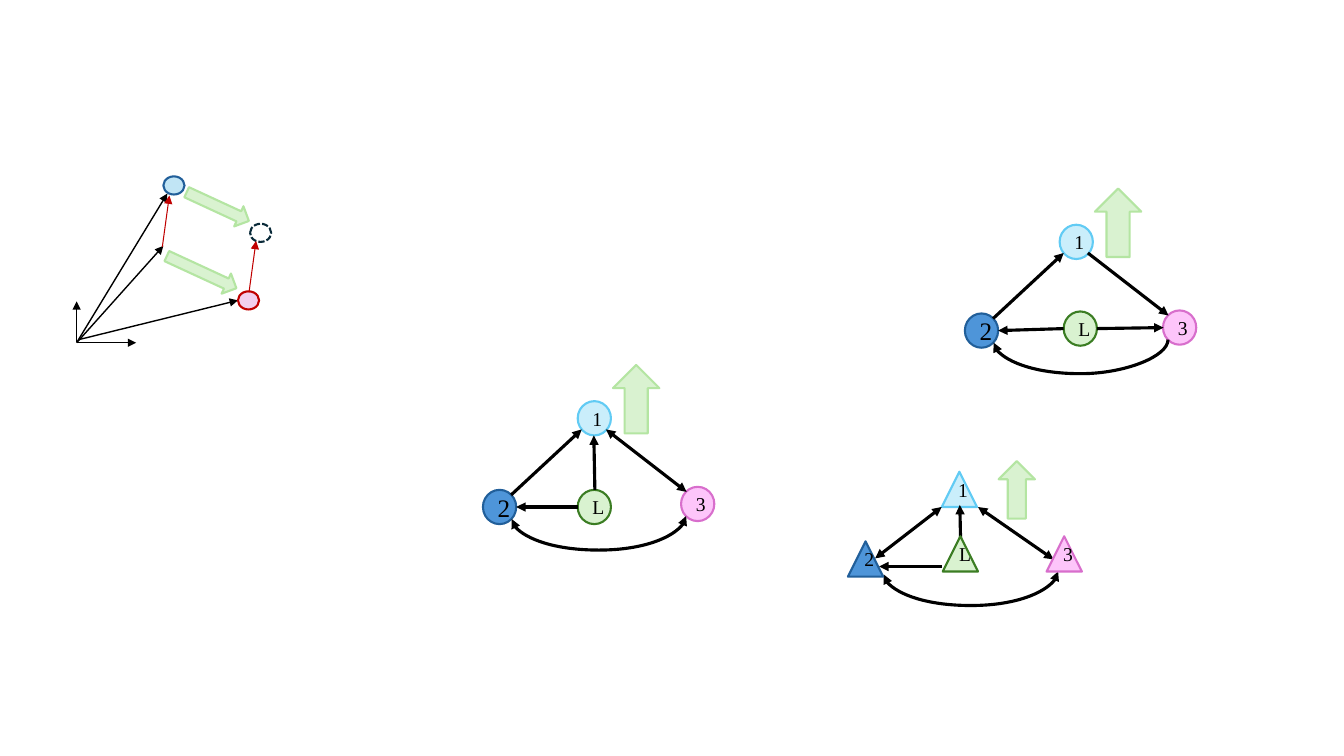
from lxml import etree
from pptx import Presentation
from pptx.dml.color import RGBColor
from pptx.enum import dml, shapes, text
from pptx.oxml.ns import qn
from pptx.util import Inches, Pt

HUES = {
    "black": "000000", "red": "C00000", "navy": "092A39",
    "rose": "F2CFEE", "ice": "C1E5F5", "pale": "D9F2D0", "leaf": "B4E5A2",
    "green": "3B7D23", "blue": "4E95D9", "deep": "215F9A",
    "pink": "FDC5FA", "plum": "D86ECC", "sky": "CAEEFB", "aqua": "61CBF4",
}
KINDS = {"1": ("sky", "aqua"), "2": ("blue", "deep"),
         "3": ("pink", "plum"), "L": ("pale", "green")}
FORM = shapes.MSO_SHAPE
LINK = shapes.MSO_CONNECTOR


def hue(name):
    return RGBColor.from_string(HUES[name])


def shape(slide, form, box, fill, edge, turn=0):
    item = slide.shapes.add_shape(form, *map(Inches, box))
    item.shadow.inherit = False
    item.rotation = turn
    if fill:
        item.fill.solid()
        item.fill.fore_color.rgb = hue(fill)
    else:
        item.fill.background()
    item.line.color.rgb = hue(edge)
    item.line.width = Pt(1.5)
    return item


def block(slide, box, turn=270):
    shape(slide, FORM.RIGHT_ARROW, box, "pale", "leaf", turn)


def node(slide, label, x, y, form=FORM.OVAL, size=14):
    peak = form == FORM.ISOSCELES_TRIANGLE
    wide, high = (0.35, 0.35) if peak else (0.33, 0.34)
    item = shape(slide, form, (x, y, wide, high), *KINDS[label])
    frame = item.text_frame
    frame.vertical_anchor = text.MSO_ANCHOR.MIDDLE
    if peak:
        frame.margin_bottom = Inches(0.22)
    frame.text = label
    para = frame.paragraphs[0]
    para.alignment = text.PP_ALIGN.CENTER
    font = para.runs[0].font
    font.name, font.size = "Times New Roman", Pt(size)
    font.color.rgb = hue("black")


def arrow(slide, ends, width=2.25, color="black", marks=("tail",), kind=LINK.STRAIGHT):
    line = slide.shapes.add_connector(kind, *map(Inches, ends))
    line.line.color.rgb = hue(color)
    line.line.width = Pt(width)
    for mark in marks:
        etree.SubElement(line.line._ln, qn(f"a:{mark}End"), type="triangle")
    etree.SubElement(line._element.spPr, qn("a:effectLst"))
    return line


def curve(slide, x, y, marks):
    mid, base = x + 0.87, y - 0.015
    ends = (mid + 0.015, base + 0.865, mid - 0.015, base - 0.865)
    line = arrow(slide, ends, marks=marks, kind=LINK.CURVE)
    props = line._element.spPr
    props.find(qn("a:xfrm")).set("rot", "5400000")
    guides = props.find(qn("a:prstGeom")).find(qn("a:avLst"))
    etree.SubElement(guides, qn("a:gd"), name="adj1", fmla="val -1030000")


def axes(slide):
    for ends in ((0.76, 3.4, 1.35, 3.4), (0.76, 3.39, 0.76, 2.99),
                 (0.76, 3.4, 1.66, 1.92), (0.78, 3.37, 2.36, 2.98),
                 (0.77, 3.39, 1.62, 2.44)):
        arrow(slide, ends, 1)
    for x, y, fill, edge in ((1.62, 1.75, "ice", "deep"),
                             (2.36, 2.89, "rose", "red"),
                             (2.48, 2.22, None, "navy")):
        dot = shape(slide, FORM.OVAL, (x, y, 0.21, 0.18), fill, edge)
    dot.line.dash_style = dml.MSO_LINE.SQUARE_DOT
    for x, y in ((1.61, 2.45), (2.47, 2.9)):
        arrow(slide, (x, y, x + 0.07, y - 0.51), 0.75, "red")
    block(slide, (1.62, 2.59, 0.76, 0.22), 24.8)
    block(slide, (1.82, 1.94, 0.68, 0.22), 24.8)


def rings(slide, x, y, hub, side, bow):
    node(slide, "L", *hub)
    node(slide, "2", x, y, size=18)
    node(slide, "3", x + 1.965, y - 0.03)
    node(slide, "1", x + 0.94, y - 0.88)
    arrow(slide, (x + 1.22, y - 0.6, x + 2.02, y + 0.02), marks=side)
    arrow(slide, (x + 0.28, y + 0.05, x + 0.98, y - 0.6))
    curve(slide, x + 0.28, y + 0.29, bow)
    block(slide, (x + 1.18, y - 1.13, 0.68, 0.46))


def peaks(slide):
    both = ("head", "tail")
    form = FORM.ISOSCELES_TRIANGLE
    node(slide, "1", 9.34, 4.68, form)
    arrow(slide, (9.7, 5.03, 10.45, 5.55), marks=both)
    arrow(slide, (8.68, 5.54, 9.34, 5.03), marks=both)
    curve(slide, 8.76, 5.7, both)
    arrow(slide, (9.34, 5.62, 8.72, 5.62))
    arrow(slide, (9.53, 5.49, 9.52, 5.01))
    block(slide, (9.8, 4.68, 0.57, 0.36))
    for label, x, y in (("2", 8.41, 5.37), ("3", 10.38, 5.32), ("L", 9.35, 5.32)):
        node(slide, label, x, y, form)


def main():
    deck = Presentation()
    deck.slide_width, deck.slide_height = Inches(13.33), Inches(7.5)
    slide = deck.slides.add_slide(deck.slide_layouts[6])
    both = ("head", "tail")
    axes(slide)
    rings(slide, 9.57, 3.11, (10.55, 3.09), ("tail",), ("head",))
    arrow(slide, (10.55, 3.26, 9.9, 3.28))
    arrow(slide, (10.88, 3.26, 11.54, 3.25))
    rings(slide, 4.79, 4.86, (5.73, 4.86), both, both)
    arrow(slide, (5.73, 5.03, 5.12, 5.03))
    arrow(slide, (5.9, 4.86, 5.89, 4.32))
    peaks(slide)
    deck.save("out.pptx")


if __name__ == "__main__":
    main()
